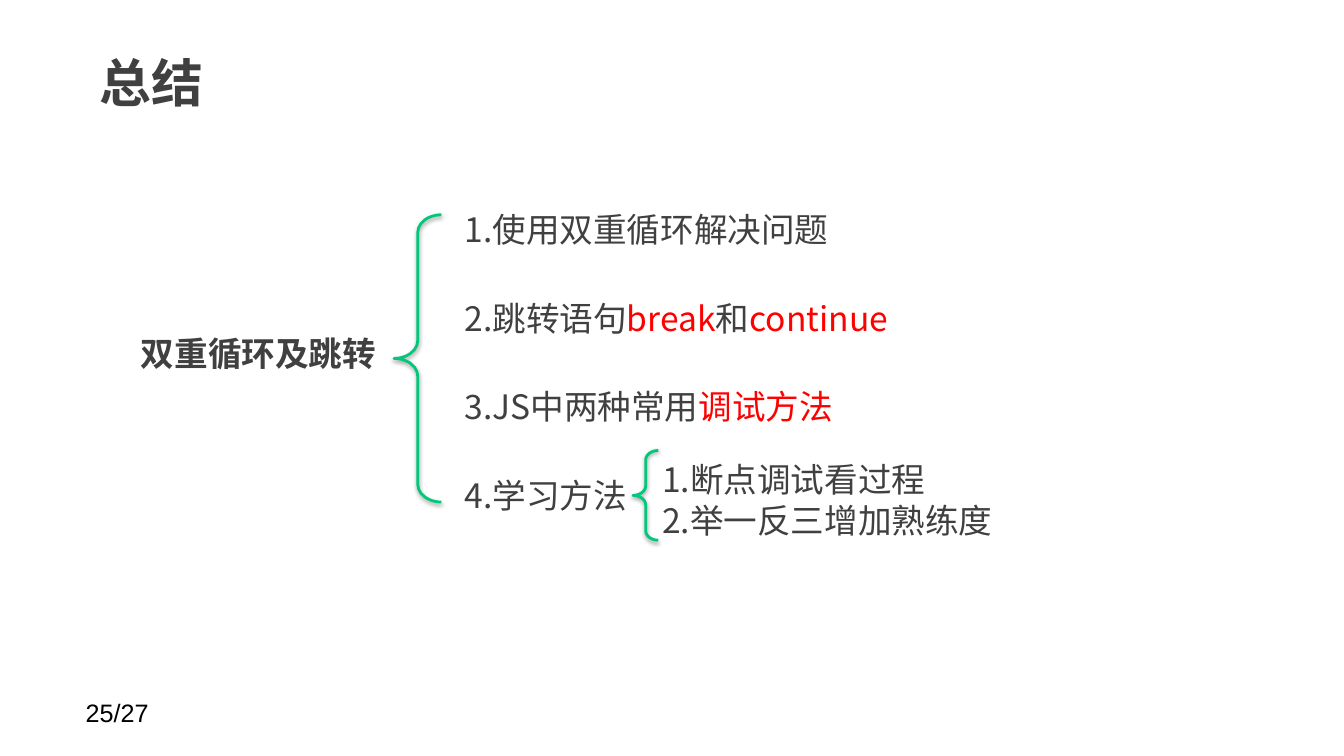
from dataclasses import dataclass

from lxml import etree
from pptx import Presentation
from pptx import util as u
from pptx.dml.color import RGBColor
from pptx.enum import shapes, text
from pptx.oxml.ns import qn


@dataclass(frozen=True)
class Theme:
    ink: str = "404040"
    accent: str = "FF0000"
    brace: str = "00C77A"
    black: str = "000000"
    paper: str = "FFFFFF"
    font: str = "Noto Sans CJK SC"
    page_font: str = "Arial"
    title_size: float = 37
    body_size: float = 24
    page_size: float = 18


theme = Theme()


def add_text(s, box, paragraphs, size, bold=False, color=theme.ink,
             font=theme.font, inset=(7.2, 3.6), pitch=None, gap=0):
    """Add a text box; each paragraph is a list of (text, color or None)."""
    sp = s.shapes.add_textbox(*map(u.Pt, box))
    tf = sp.text_frame
    tf.word_wrap = True
    tf.margin_left, tf.margin_top = map(u.Pt, inset)
    tf.margin_right, tf.margin_bottom = u.Pt(7.2), u.Pt(0)
    for i, runs in enumerate(paragraphs):
        p = tf.paragraphs[0] if i == 0 else tf.add_paragraph()
        if pitch:
            p.line_spacing = u.Pt(pitch)
        p.space_before = u.Pt(gap if i else 0)
        for content, run_color in runs:
            r = p.add_run()
            r.text = content
            r.font.size = u.Pt(size)
            r.font.bold = bold
            r.font.name = font
            r.font.color.rgb = RGBColor.from_string(run_color or color)
            ea = etree.SubElement(r.font._element, qn("a:ea"))
            ea.set("typeface", font)
    return sp


prs = Presentation()
prs.slide_width, prs.slide_height = u.Pt(960), u.Pt(540)
s = prs.slides.add_slide(prs.slide_layouts[6])

# Page number and title
add_text(s, (54, 494.6, 168, 28.8), [[("25/27", None)]], theme.page_size,
         color=theme.black, font=theme.page_font)
title = add_text(s, (61.9, 21.6, 749.5, 74.2), [[("总结", None)]],
                 theme.title_size, bold=True, inset=(9.4, 4.3))
title.text_frame.margin_bottom = u.Pt(4.3)
title.text_frame.vertical_anchor = text.MSO_ANCHOR.MIDDLE

# Topic and its four points
topic = add_text(s, (93.6, 237.6, 187.9, 24.5), [[("双重循环及跳转", None)]],
                 theme.body_size, bold=True, inset=(7.2, 0))
topic.text_frame.paragraphs[0].alignment = text.PP_ALIGN.JUSTIFY

points = [
    [("1.使用双重循环解决问题", None)],
    [("2.跳转语句", None), ("break", theme.accent),
     ("和", None), ("continue", theme.accent)],
    [("3.JS中两种常用", None), ("调试方法", theme.accent)],
    [("4.学习方法", None)],
]
panel = add_text(s, (324.7, 140.4, 423.4, 230.4), points, theme.body_size,
                 inset=(7.2, 6.2), pitch=31.6, gap=31.6)
panel.fill.solid()
panel.fill.fore_color.rgb = RGBColor.from_string(theme.paper)

# Study methods
methods = [[("1.断点调试看过程", None)], [("2.举一反三增加熟练度", None)]]
add_text(s, (429.8, 321.8, 293, 65.5), methods, theme.body_size,
         inset=(43.2, 6.2), pitch=28.9)

# Braces with a soft shadow below
for box in [(281.5, 153.4, 33.8, 205.2), (452.2, 321.8, 18, 64.1)]:
    sp = s.shapes.add_shape(shapes.MSO_SHAPE.LEFT_BRACE, *map(u.Pt, box))
    sp.adjustments[0], sp.adjustments[1] = 0.376, 0.5
    sp.fill.background()
    sp.line.color.rgb = RGBColor.from_string(theme.brace)
    sp.line.width = u.Pt(2)
    sp.shadow.inherit = False
    effects = sp._element.spPr.find(qn("a:effectLst"))
    shadow = etree.SubElement(
        effects, qn("a:outerShdw"), blurRad=str(u.Pt(3.1)),
        dist=str(u.Pt(1.6)), dir="5400000", rotWithShape="0")
    tint = etree.SubElement(shadow, qn("a:srgbClr"), val=theme.black)
    etree.SubElement(tint, qn("a:alpha"), val="38000")

prs.save("out.pptx")
